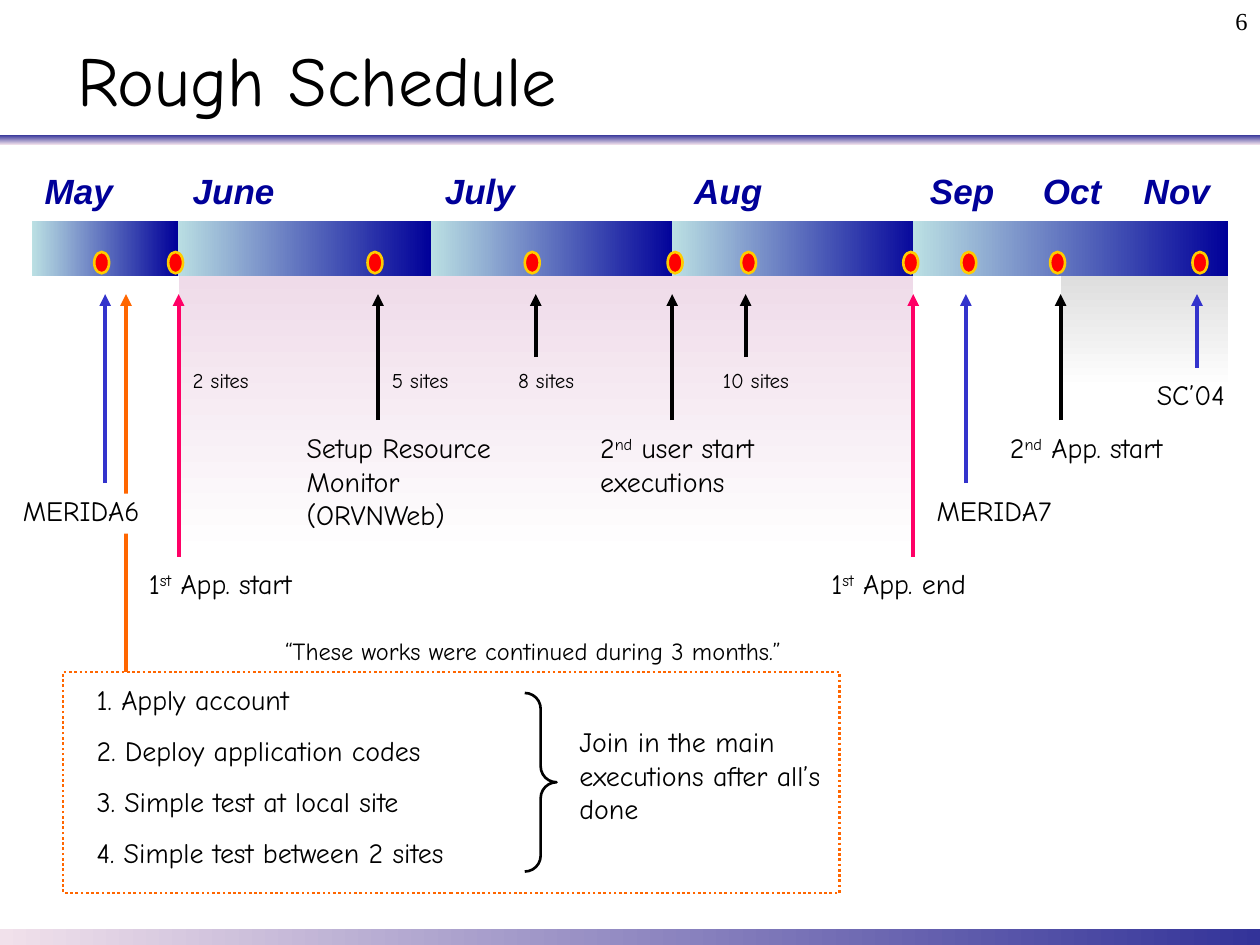
import dataclasses

import lxml.etree
import pptx
import pptx.dml.color
import pptx.enum.dml
import pptx.enum.shapes
import pptx.enum.text
import pptx.oxml.ns
import pptx.util

Cm = pptx.util.Cm
Pt = pptx.util.Pt
Shape = pptx.enum.shapes.MSO_SHAPE
Align = pptx.enum.text.PP_ALIGN
qualified = pptx.oxml.ns.qn


@dataclasses.dataclass(frozen=True)
class Theme:
    """Colours, fonts and type sizes of the schedule."""
    black: str = "000000"
    white: str = "FFFFFF"
    navy: str = "000099"
    ice: str = "BBE0E3"
    indigo: str = "333399"
    blush: str = "F1E1EB"
    pink: str = "EFDBE9"
    grey: str = "DDDDDD"
    orange: str = "FF6600"
    magenta: str = "FF0066"
    blue: str = "3333CC"
    red: str = "FF0000"
    gold: str = "FFCC00"
    body_font: str = "Comic Neue"
    month_font: str = "Arial"
    number_font: str = "Times New Roman"
    title_size: float = 40
    month_size: float = 20
    label_size: float = 16
    note_size: float = 14
    site_size: float = 12


def rgb(value):
    """Turn a hex string into a colour."""
    return pptx.dml.color.RGBColor.from_string(value)


class ScheduleSlide:
    """Draws schedule elements on one slide in one theme."""
    down = 270
    leftward = 180
    arrow_tip = 5.93

    def __init__(self, slide, theme):
        """Keep the slide and the theme."""
        self.slide = slide
        self.theme = theme

    def shape(self, kind, box, line=None, width=1.5):
        """Add a shape without shadow or fill, with an optional outline."""
        shape = self.slide.shapes.add_shape(kind, *map(Cm, box))
        shape.shadow.inherit = False
        shape.fill.background()
        if line:
            shape.line.color.rgb = rgb(line)
            shape.line.width = Pt(width)
        else:
            shape.line.fill.background()
        return shape

    def gradient(self, box, start, end, angle):
        """Add a rectangle that fades between two colours."""
        fill = self.shape(Shape.RECTANGLE, box).fill
        fill.gradient()
        fill.gradient_angle = angle
        for stop, color in zip(fill.gradient_stops, (start, end)):
            stop.color.rgb = rgb(color)

    def dot(self, left):
        """Add an event marker on the timeline."""
        shape = self.shape(Shape.OVAL, (left, 5.08, 0.3, 0.43), self.theme.gold)
        shape.fill.solid()
        shape.fill.fore_color.rgb = rgb(self.theme.red)

    def arrow(self, x, foot, color):
        """Add an arrow that points up to the timeline."""
        connector = self.slide.shapes.add_connector(
            pptx.enum.shapes.MSO_CONNECTOR.STRAIGHT, Cm(x), Cm(foot), Cm(x), Cm(self.arrow_tip))
        connector.line.color.rgb = rgb(color)
        connector.line.width = Pt(2.25)
        lxml.etree.SubElement(connector.line._get_or_add_ln(), qualified("a:tailEnd"), type="triangle")
        lxml.etree.SubElement(connector._element.spPr, qualified("a:effectLst"))

    def style(self, paragraph, font, size, color, align=Align.LEFT):
        """Set the font and alignment of a paragraph."""
        paragraph.alignment = align
        paragraph.font.name = font
        paragraph.font.size = Pt(size)
        paragraph.font.color.rgb = rgb(color)

    def title(self, text, box):
        """Move the title placeholder and fill it."""
        title = self.slide.shapes.title
        title.left, title.top, title.width, title.height = map(Cm, box)
        title.text_frame.text = text
        title.text_frame.vertical_anchor = pptx.enum.text.MSO_ANCHOR.MIDDLE
        self.style(title.text_frame.paragraphs[0], self.theme.body_font,
                   self.theme.title_size, self.theme.black)

    def text_box(self, box, insets, wrap=True):
        """Add an empty text box with side, top and bottom insets."""
        shape = self.slide.shapes.add_textbox(*map(Cm, box))
        frame = shape.text_frame
        frame.word_wrap = wrap
        side, top, bottom = map(Cm, insets)
        frame.margin_left = frame.margin_right = side
        frame.margin_top, frame.margin_bottom = top, bottom
        return shape

    def label(self, box, *lines, size=None, align=Align.LEFT, fill=None):
        """Add body text, with superscripts marked between carets."""
        shape = self.text_box(box, (0.25, 0, 0.13))
        if fill:
            shape.fill.solid()
            shape.fill.fore_color.rgb = rgb(fill)
        frame = shape.text_frame
        for index, line in enumerate(lines):
            paragraph = frame.add_paragraph() if index else frame.paragraphs[0]
            if index:
                paragraph.space_before = Pt(10)
            for position, part in enumerate(line.split("^")):
                run = paragraph.add_run()
                run.text = part
                if position % 2:
                    run._r.get_or_add_rPr().set("baseline", "30000")
            self.style(paragraph, self.theme.body_font, size or self.theme.label_size,
                       self.theme.black, align)

    def month(self, name, left, width):
        """Add a month name above the timeline."""
        frame = self.text_box((left, 3.36, width, 0.91), (0, 0.05, 0.05), wrap=False).text_frame
        frame.auto_size = pptx.enum.text.MSO_AUTO_SIZE.SHAPE_TO_FIT_TEXT
        paragraph = frame.paragraphs[0]
        paragraph.text = name
        self.style(paragraph, self.theme.month_font, self.theme.month_size,
                   self.theme.navy, Align.CENTER)
        paragraph.font.bold = paragraph.font.italic = True

    def number(self, text, box):
        """Add the slide number."""
        paragraph = self.text_box(box, (0.25, 0.13, 0.13)).text_frame.paragraphs[0]
        paragraph.text = text
        self.style(paragraph, self.theme.number_font, self.theme.note_size,
                   self.theme.black, Align.RIGHT)


def main():
    """Build the schedule slide and save it."""
    presentation = pptx.Presentation()
    presentation.slide_width, presentation.slide_height = Cm(25.4), Cm(19.05)
    theme = Theme()
    page = ScheduleSlide(presentation.slides.add_slide(presentation.slide_layouts[5]), theme)

    page.title("Rough Schedule", (1.3, 0.71, 23.24, 1.75))
    page.gradient((0, 2.72, 25.4, 0.2), theme.indigo, theme.blush, page.down)
    page.gradient((0, 18.72, 25.4, 0.33), theme.indigo, theme.blush, page.leftward)
    page.gradient((21.38, 5.5, 3.38, 2.33), theme.grey, theme.white, page.down)
    page.gradient((3.6, 5.5, 14.81, 5.72), theme.pink, theme.white, page.down)
    page.arrow(2.54, 13.55, theme.orange)

    for left, width in ((3.54, 5.15), (8.68, 4.95), (13.55, 5.08), (18.41, 6.35), (0.64, 2.95)):
        page.gradient((left, 4.45, width, 1.11), theme.navy, theme.ice, page.leftward)
    for left in (1.9, 3.39, 7.41, 10.58, 13.46, 14.94, 18.21, 19.38, 21.17, 24.04):
        page.dot(left)
    for name, left, width in (("May", 0.64, 1.9), ("June", 3.81, 1.8), ("July", 8.89, 1.57),
                              ("Aug", 13.92, 1.52), ("Sep", 18.67, 1.45), ("Oct", 20.8, 1.63),
                              ("Nov", 22.91, 1.63)):
        page.month(name, left, width)

    page.label((0.21, 9.95, 3.39, 0.81), "MERIDA6", fill=theme.white)
    page.label((2.75, 11.43, 4.02, 0.81), "1^st^ App. start", fill=theme.white)
    for x, foot, color in ((2.12, 9.74, theme.blue), (3.6, 11.22, theme.magenta),
                           (7.62, 8.47, theme.black), (10.8, 7.2, theme.black),
                           (13.55, 8.47, theme.black), (15.03, 7.2, theme.black),
                           (18.41, 11.22, theme.magenta), (19.47, 9.74, theme.blue),
                           (21.38, 8.47, theme.black), (24.13, 7.41, theme.blue)):
        page.arrow(x, foot, color)

    for text, left, top, width, height in (
            ("Setup Resource Monitor (ORVNWeb)", 5.93, 8.68, 4.66, 2.16),
            ("2^nd^ user start executions", 11.85, 8.68, 4.66, 1.48),
            ("1^st^ App. end", 16.51, 11.43, 3.6, 0.81),
            ("MERIDA7", 18.63, 9.95, 3.39, 0.81),
            ("2^nd^ App. start", 20.11, 8.68, 4.23, 0.81),
            ("SC’04", 23.07, 7.62, 2.12, 0.81)):
        page.label((left, top, width, height), text)
    for count, left in ((2, 3.39), (5, 7.41), (8, 9.95), (10, 14.18)):
        page.label((left, 7.41, 2.12, 0.64), f"{count} sites", size=theme.site_size, align=Align.CENTER)

    page.label((5.5, 12.83, 11.43, 0.74), "“These works were continued during 3 months.”",
               size=theme.note_size)
    frame = page.shape(Shape.RECTANGLE, (1.27, 13.55, 15.66, 4.45), theme.orange)
    frame.line.dash_style = pptx.enum.dml.MSO_LINE.ROUND_DOT
    page.label((1.7, 13.76, 10.8, 3.89), "1. Apply account", "2. Deploy application codes",
               "3. Simple test at local site", "4. Simple test between 2 sites")
    brace = page.shape(Shape.RIGHT_BRACE, (10.58, 13.97, 0.64, 3.6), theme.black)
    brace.adjustments[0] = 0.5
    page.label((11.43, 14.61, 5.5, 2.16), "Join in the main executions after all’s done")
    page.number("6", (22.48, 0, 2.92, 0.71))
    presentation.save("out.pptx")


if __name__ == "__main__":
    main()
